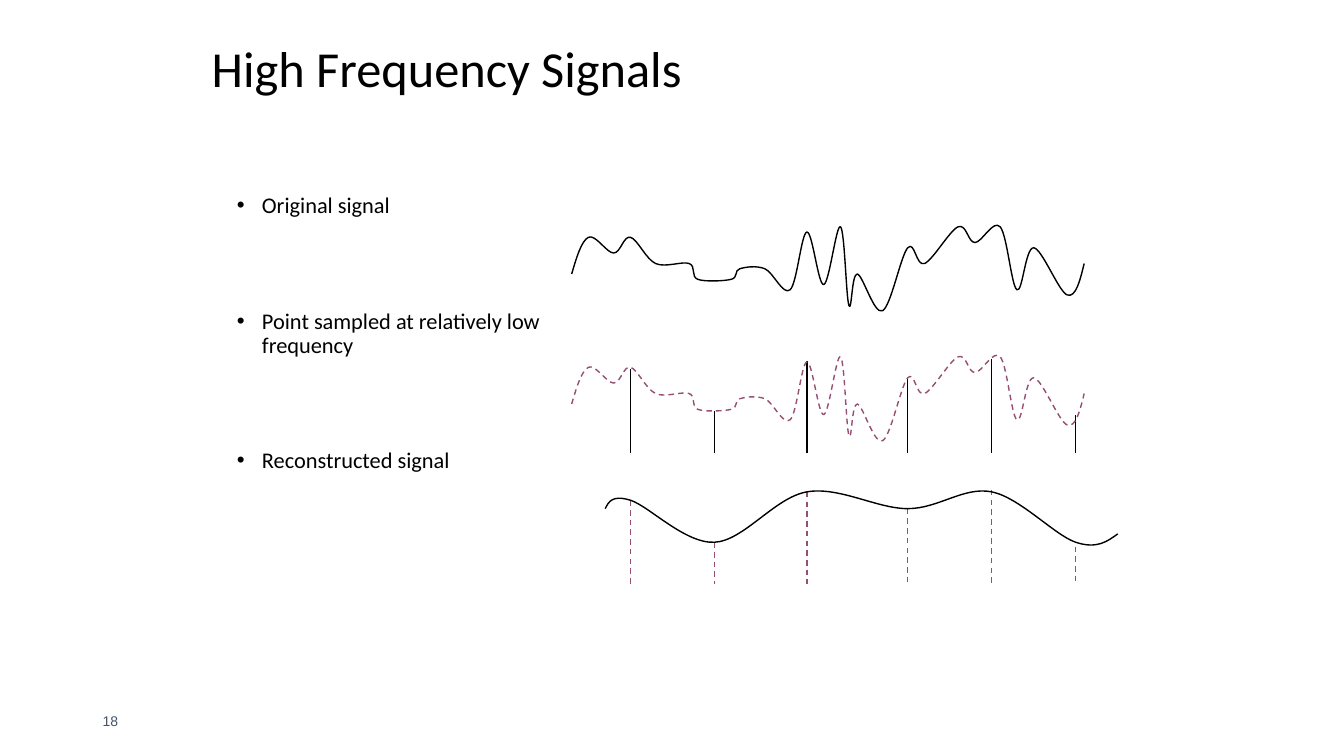
from lxml import etree
from pptx import Presentation
from pptx.dml.color import RGBColor
from pptx.enum.dml import MSO_LINE
from pptx.enum.shapes import MSO_CONNECTOR
from pptx.enum.text import MSO_ANCHOR, PP_ALIGN
from pptx.oxml.ns import qn
from pptx.util import Inches, Pt

DASH = MSO_LINE.DASH
STRAIGHT = MSO_CONNECTOR.STRAIGHT
MIDDLE = MSO_ANCHOR.MIDDLE
TOP = MSO_ANCHOR.TOP
LEFT = PP_ALIGN.LEFT

BLACK, PLUM, SLATE = "000000", "954F72", "44546A"
STEP = 1 / 12
RISE = 5 / 96
DROP = 1 / 24

SIGNAL = [(0, 9), (2, 2), (5, 5), (7, 2), (10, 7), (14, 7), (15, 10), (19, 10),
          (20, 8), (23, 8), (26, 12), (28, 1), (30, 11), (32, 0), (33, 15),
          (34, 9), (37, 16), (40, 4), (42, 7), (46, 0), (48, 3), (51, 0),
          (53, 12), (55, 4), (59, 13), (61, 7)]
SMOOTH = [(4, 4), (7, 2), (17, 12), (28, 0), (40, 4), (50, 0), (60, 12), (65, 10)]
STEMS = [(7, 2), (17, 12), (28, 0), (40, 4), (50, -0.5), (60, 13)]
BASE = 22
ITEMS = ["Original signal", "Point sampled at relatively low frequency",
         "Reconstructed signal"]


def color(code):
    """Turn a hex string into a colour."""
    return RGBColor.from_string(code)


def style(para, size, code, face="Calibri"):
    """Format the runs of a paragraph."""
    for run in para.runs:
        run.font.size = Pt(size)
        run.font.name = face
        run.font.color.rgb = color(code)


def pen(shape, code, dash):
    """Give a shape its thin line."""
    shape.line.color.rgb = color(code)
    shape.line.width = Pt(1)
    if dash:
        shape.line.dash_style = dash


def place(shape, box):
    """Move a shape to a box in inches."""
    shape.left, shape.top, shape.width, shape.height = map(Inches, box)


def title(slide, box):
    """Fill the title placeholder."""
    head = slide.shapes.title
    place(head, box)
    frame = head.text_frame
    frame.text = "High Frequency Signals"
    frame.vertical_anchor = MIDDLE
    para = frame.paragraphs[0]
    para.alignment = LEFT
    para.line_spacing = 0.9
    style(para, 36, BLACK)


def bullets(slide, box):
    """Write the three spaced bullet items."""
    frame = slide.shapes.add_textbox(*map(Inches, box)).text_frame
    frame.word_wrap = True
    frame.vertical_anchor = TOP
    frame.margin_top = Inches(0.43)
    frame.text = "\n".join(ITEMS)
    for i, para in enumerate(frame.paragraphs):
        para.line_spacing = 0.9
        if i:
            para.space_before = Pt(65)
        props = para._p.get_or_add_pPr()
        props.set("marL", str(Inches(0.25)))
        props.set("indent", str(-Inches(0.25)))
        etree.SubElement(props, qn("a:buFont")).set("typeface", "Arial")
        etree.SubElement(props, qn("a:buChar")).set("char", "•")
        style(para, 16, BLACK)


def number(slide, box):
    """Write the slide number."""
    frame = slide.shapes.add_textbox(*map(Inches, box)).text_frame
    frame.word_wrap = True
    frame.vertical_anchor = MIDDLE
    frame.text = "18"
    style(frame.paragraphs[0], 10, SLATE, "Arial")


def spline(knots):
    """Return the start and Bezier points of a smooth curve through knots."""
    slopes = [((c[0] - a[0]) / 6, (c[1] - a[1]) / 6)
              for a, c in zip(knots, knots[2:])]
    before = [(x - u, y - v) for (x, y), (u, v) in zip(knots[1:], slopes)]
    after = [(x + u, y + v) for (x, y), (u, v) in zip(knots[1:], slopes)]

    def mid(a, b):
        """Return the point halfway between two others."""
        return (a[0] + b[0]) / 2, (a[1] + b[1]) / 2

    after.insert(0, mid(knots[0], before[0]))
    before.append(mid(after[-1], knots[-1]))
    points = [knots[0]]
    for trio in zip(after, before, knots[1:]):
        points.extend(trio)
    return points


def wave(slide, left, top, knots, unit, code, dash=None):
    """Draw a smooth curve through grid knots."""
    points = [(Inches(left + x * STEP), Inches(top + y * unit))
              for x, y in spline(knots)]
    build = slide.shapes.build_freeform(*points[0])
    build.add_line_segments(points[1:], close=False)
    shape = build.convert_to_shape()
    shape.shadow.inherit = False
    shape.fill.background()
    pen(shape, code, dash)
    track = shape._element.find(".//" + qn("a:path"))
    lines = track.findall(qn("a:lnTo"))
    for i in range(0, len(lines), 3):
        curve = etree.SubElement(track, qn("a:cubicBezTo"))
        for line in lines[i:i + 3]:
            curve.append(line[0])
            track.remove(line)


def stems(slide, left, top, code, dash=None):
    """Draw the upright sample lines."""
    for x, y in STEMS:
        across = Inches(left + x * STEP)
        line = slide.shapes.add_connector(
            STRAIGHT, across, Inches(top + y * DROP),
            across, Inches(top + BASE * DROP))
        pen(line, code, dash)
        etree.SubElement(line._element.spPr, qn("a:effectLst"))


def signals(slide, left, top):
    """Draw the signal, its samples and the rebuilt signal."""
    wave(slide, left, top, SIGNAL, RISE, BLACK)
    stems(slide, left, top + 1.33, BLACK)
    stems(slide, left, top + 2.63, PLUM, DASH)
    wave(slide, left, top + 2.63, SMOOTH, DROP, BLACK)
    wave(slide, left, top + 1.29, SIGNAL, RISE, PLUM, DASH)


def main():
    """Build and save the slide."""
    deck = Presentation()
    deck.slide_width, deck.slide_height = Inches(13.33), Inches(7.5)
    slide = deck.slides.add_slide(deck.slide_layouts[5])
    number(slide, (0.92, 6.95, 3, 0.4))
    title(slide, (2, 0.32, 9.17, 0.77))
    bullets(slide, (2.25, 1.5, 3.89, 5.58))
    signals(slide, 5.67, 2.25)
    deck.save("out.pptx")


if __name__ == "__main__":
    main()
